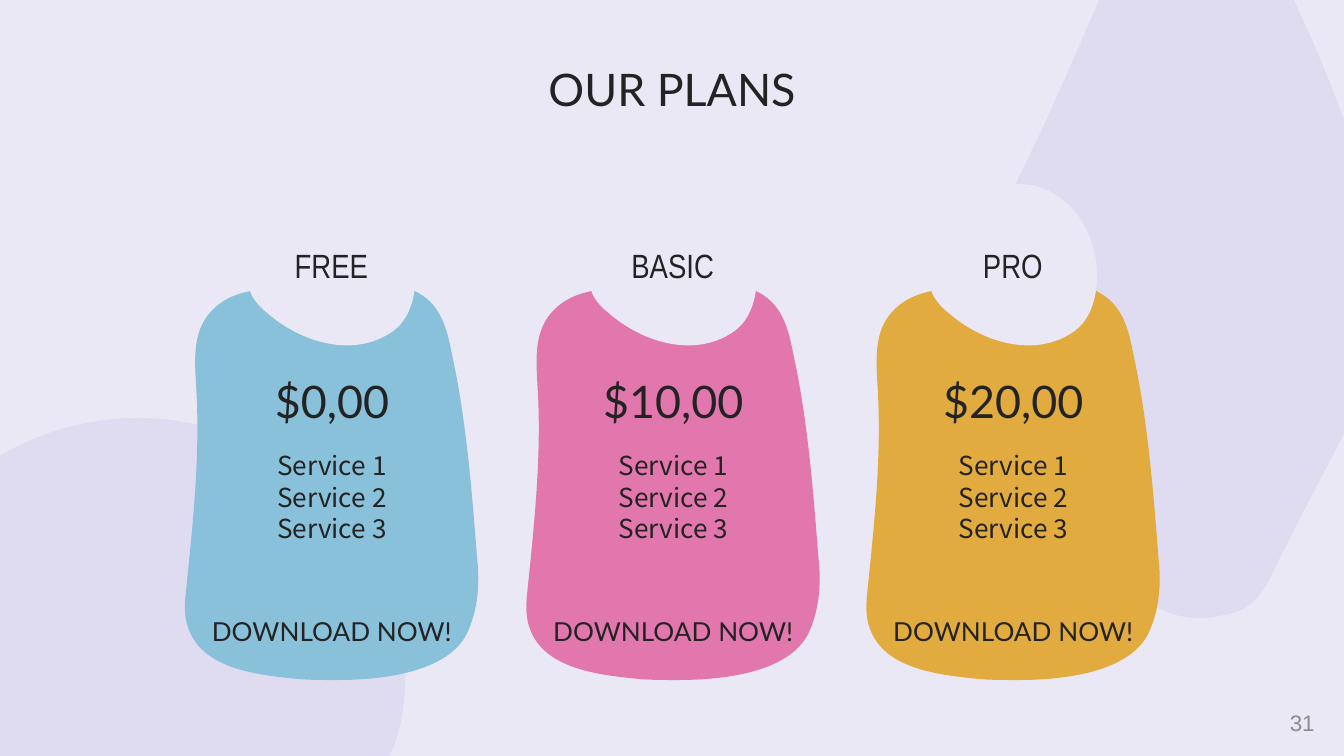
from pptx import Presentation
from pptx.dml.color import RGBColor
from pptx.enum.text import MSO_ANCHOR, PP_ALIGN
from pptx.oxml.ns import qn
from pptx.util import Pt

PX = 9144
CENTER, RIGHT = PP_ALIGN.CENTER, PP_ALIGN.RIGHT
TOP, MIDDLE = MSO_ANCHOR.TOP, MSO_ANCHOR.MIDDLE

COLORS = {
    "background": "EBE8F6",
    "blob": "DFDBF1",
    "text": "232323",
    "number": "8C8C8C",
    "free": "89C0DA",
    "basic": "E277AD",
    "pro": "E2AB3F",
}

RIGHT_BLOB = [
    (893, -63), (856, -63), (834, -37), (821, -7), (805, 29), (790, 65), (773, 101),
    (759, 130), (744, 159), (737, 190), (730, 222), (739, 245), (753, 274),
    (768, 306), (784, 338), (803, 368), (819, 393), (831, 425), (854, 446),
    (864, 456), (879, 460), (894, 460), (899, 460), (904, 459), (909, 458),
    (932, 454), (938, 444), (947, 426), (970, 379), (996, 332), (1019, 285),
    (1030, 263), (1040, 241), (1041, 217), (1041, 181), (1026, 152), (1012, 119),
    (998, 85), (986, 50), (970, 16), (956, -14), (941, -59), (899, -62),
    (897, -63), (895, -63), (893, -63),
]
LEFT_BLOB = [
    (103, 311), (26, 311), (-49, 355), (-82, 433), (-98, 472), (-109, 521), (-88, 560),
    (-78, 579), (-59, 593), (-39, 601), (-25, 607), (-12, 608), (1, 608),
    (16, 608), (30, 606), (46, 604), (60, 603), (74, 602), (88, 602),
    (95, 602), (102, 602), (109, 603), (133, 604), (164, 609), (193, 609),
    (218, 609), (242, 605), (261, 594), (277, 584), (289, 568), (295, 550),
    (296, 546), (297, 542), (298, 539), (304, 509), (303, 473), (293, 446),
    (280, 409), (254, 375), (222, 351), (186, 324), (144, 311), (103, 311),
]
CARD_BODY = [
    (127, 74), (108, 74), (89, 75), (69, 77), (50, 79), (33, 81), (20, 96),
    (7, 111), (9, 132), (10, 151), (13, 199), (8, 248), (3, 297),
    (2, 308), (0, 319), (4, 330), (14, 360), (53, 365), (83, 368),
    (92, 369), (103, 369), (114, 369), (153, 369), (201, 362), (213, 331),
    (220, 314), (221, 296), (219, 278), (215, 227), (211, 175), (200, 125),
    (196, 105), (191, 85), (166, 77), (158, 75), (150, 75), (142, 75),
    (137, 74), (132, 74), (127, 74),
]
CARD_BADGE = [
    (116, 0), (108, 0), (100, 2), (92, 5), (74, 14), (59, 29), (52, 48),
    (48, 60), (46, 73), (52, 84), (55, 89), (59, 93), (63, 96),
    (79, 110), (101, 120), (122, 120), (134, 120), (146, 117), (157, 109),
    (173, 97), (175, 72), (172, 54), (169, 38), (161, 22), (148, 12),
    (138, 4), (127, 0), (116, 0),
]

PLANS = [("FREE", "$0,00", "free"), ("BASIC", "$10,00", "basic"), ("PRO", "$20,00", "pro")]
SERVICES = ["Service 1", "Service 2", "Service 3"]


def rgb(name):
    """Return the named colour."""
    return RGBColor.from_string(COLORS[name])


def bend(sp):
    """Turn each three line segments of a freeform into one cubic curve."""
    lines = sp.element.findall(".//" + qn("a:lnTo"))
    for curve, *controls in zip(lines[::3], lines[1::3], lines[2::3]):
        curve.tag = qn("a:cubicBezTo")
        for line in controls:
            curve.append(line[0])
            line.getparent().remove(line)


def add_blob(slide, left, top, outline, color):
    """Draw a filled curved outline relative to left and top."""
    points = [((left + x) * PX, (top + y) * PX) for x, y in outline]
    builder = slide.shapes.build_freeform(*points[0], scale=1.0)
    builder.add_line_segments(points[1:], close=True)
    sp = builder.convert_to_shape()
    bend(sp)
    sp.shadow.inherit = False
    sp.fill.solid()
    sp.fill.fore_color.rgb = rgb(color)
    sp.line.fill.background()
    return sp


def write(sp, lines, size, font, color="text", align=CENTER, anchor=TOP, inset=10, spacing=None):
    """Fill a shape with one paragraph per line."""
    tf = sp.text_frame
    tf.word_wrap = True
    tf.vertical_anchor = anchor
    tf.margin_left = tf.margin_right = 10 * PX
    tf.margin_top = tf.margin_bottom = inset * PX
    for i, line in enumerate(lines):
        p = tf.add_paragraph() if i else tf.paragraphs[0]
        p.alignment = align
        if spacing:
            p.line_spacing = Pt(spacing)
        r = p.add_run()
        r.text = line
        r.font.size = Pt(size)
        r.font.name = font
        r.font.color.rgb = rgb(color)


def add_text(slide, box, lines, size, font, **options):
    """Add a text box at the given left, top, width and height."""
    sp = slide.shapes.add_textbox(*(v * PX for v in box))
    write(sp, lines, size, font, **options)


def add_background(slide):
    """Paint the background and its two blobs."""
    fill = slide.background.fill
    fill.solid()
    fill.fore_color.rgb = rgb("background")
    for outline in (RIGHT_BLOB, LEFT_BLOB):
        add_blob(slide, 0, 0, outline, "blob")


def add_plan(slide, left, top, name, price, color):
    """Draw one plan card with its badge, price, services and call to action."""
    add_blob(slide, left, top, CARD_BODY, color)
    badge = add_blob(slide, left, top, CARD_BADGE, "background")
    write(badge, [name], 18, "Arial Narrow", anchor=MIDDLE)
    x, width = left + 8, 206
    add_text(slide, (x, top + 131, width, 63), [price], 24, "Lato")
    add_text(slide, (x, top + 187, width, 110), SERVICES, 14, "Noto Sans CJK KR", spacing=17)
    add_text(slide, (x, top + 311, width, 63), ["DOWNLOAD NOW!"], 14, "Lato")


def main():
    """Build and save the plans slide."""
    prs = Presentation()
    prs.slide_width = 1000 * PX
    prs.slide_height = prs.slide_width * 9 // 16
    slide = prs.slides.add_slide(prs.slide_layouts[6])
    add_background(slide)
    add_text(slide, (34, 36, 932, 63), ["OUR PLANS"], 24, "Lato")
    for i, plan in enumerate(PLANS):
        add_plan(slide, 136 + (507 * i + 1) // 2, 137, *plan)
    add_text(slide, (763, 523, 225, 30), ["31"], 12, "Arial",
             color="number", align=RIGHT, anchor=MIDDLE, inset=5)
    prs.save("out.pptx")


if __name__ == "__main__":
    main()
